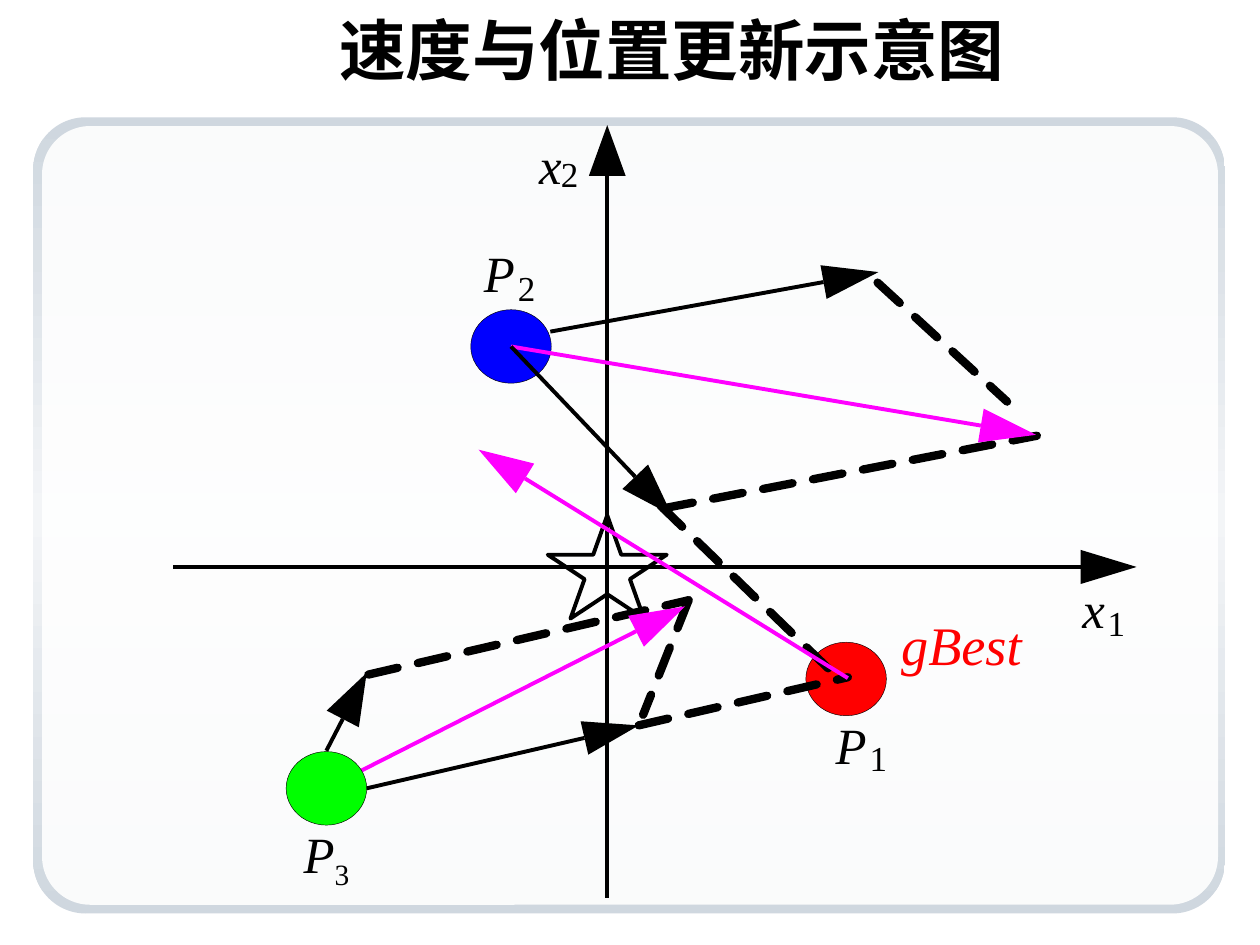
import math

import lxml.etree
import pptx
import pptx.dml.color
import pptx.enum.shapes
import pptx.enum.text
import pptx.oxml.ns
import pptx.util

Pt = pptx.util.Pt
SHAPES = pptx.enum.shapes.MSO_SHAPE
BLACK, MAGENTA, RED = "000000", "FF00FF", "FF0000"
LINE_WIDTH, DASH_WIDTH = 2.25, 4.75
PARTICLE_SIZE = (46, 42)


def colour(value):
    return pptx.dml.color.RGBColor.from_string(value)


def add_child(parent, tag, **attributes):
    child = lxml.etree.SubElement(parent, pptx.oxml.ns.qn(tag))
    for name, value in attributes.items():
        child.set(name, value)
    return child


def add_preset(slide, preset, left, top, width, height):
    shape = slide.shapes.add_shape(preset, Pt(left), Pt(top), Pt(width), Pt(height))
    shape.shadow.inherit = False
    return shape


def add_panel(slide):
    # Grey gradient frame
    frame = add_preset(slide, SHAPES.ROUNDED_RECTANGLE, 19, 67, 681, 455)
    frame.adjustments[0] = 0.066
    frame.line.fill.background()
    frame.fill.gradient()
    frame.fill.gradient_angle = 270
    stops = frame.fill._fill._gradFill.find(pptx.oxml.ns.qn("a:gsLst"))
    for stop in list(stops):
        stops.remove(stop)
    for position, value in (("0", "CFD7DF"), ("50000", "F3F5F7"), ("100000", "CFD7DF")):
        add_child(add_child(stops, "a:gs", pos=position), "a:srgbClr", val=value)

    # Translucent white inside
    inside = add_preset(slide, SHAPES.ROUNDED_RECTANGLE, 24, 72, 672, 445)
    inside.adjustments[0] = 0.062
    inside.line.fill.background()
    inside.fill.solid()
    inside.fill.fore_color.rgb = colour("FFFFFF")
    white = inside._element.spPr.find(".//" + pptx.oxml.ns.qn("a:srgbClr"))
    add_child(white, "a:alpha", val="90000")


def add_title(slide, text):
    title = slide.shapes.title
    title.left, title.top, title.width, title.height = Pt(24), Pt(6), Pt(720), Pt(44)
    frame = title.text_frame
    frame.text = text
    frame.vertical_anchor = pptx.enum.text.MSO_ANCHOR.MIDDLE
    frame.paragraphs[0].alignment = pptx.enum.text.PP_ALIGN.CENTER
    font = frame.paragraphs[0].runs[0].font
    font.size, font.name, font.bold = Pt(38), "Arial", True
    font.color.rgb = colour(BLACK)


def add_line(slide, start, end, value=BLACK, width=LINE_WIDTH):
    line = slide.shapes.add_connector(
        pptx.enum.shapes.MSO_CONNECTOR.STRAIGHT, *(Pt(c) for c in (*start, *end)))
    line.line.color.rgb = colour(value)
    line.line.width = Pt(width)
    add_child(line._element.spPr, "a:effectLst")
    return line


def add_dashed(slide, start, end):
    line = add_line(slide, start, end, width=DASH_WIDTH)
    outline = line.line._get_or_add_ln()
    outline.set("cap", "rnd")
    add_child(add_child(outline, "a:custDash"), "a:ds", d="460000", sp="150000")


def add_arrow(slide, start, tip, value=BLACK):
    """Draw a line with a large triangular head, slightly stretched sideways."""
    angle = math.atan2(tip[1] - start[1], tip[0] - start[0])
    cos, sin = math.cos(angle), math.sin(angle)
    length = math.hypot(32 * cos, 29 * sin)
    half_width = math.hypot(19.5 * cos, 21 * sin) / 2
    base = (tip[0] - length * cos, tip[1] - length * sin)
    add_line(slide, start, base, value)

    corners = [(base[0] - side * half_width * sin, base[1] + side * half_width * cos)
               for side in (1, -1)]
    builder = slide.shapes.build_freeform(Pt(tip[0]), Pt(tip[1]))
    builder.add_line_segments([(Pt(x), Pt(y)) for x, y in corners], close=True)
    head = builder.convert_to_shape()
    head.shadow.inherit = False
    head.fill.solid()
    head.fill.fore_color.rgb = colour(value)
    head.line.fill.background()


def add_particle(slide, centre, value):
    width, height = PARTICLE_SIZE
    particle = add_preset(slide, SHAPES.OVAL, centre[0] - width / 2,
                          centre[1] - height / 2, width, height)
    particle.fill.solid()
    particle.fill.fore_color.rgb = colour(value)
    particle.line.color.rgb = colour(BLACK)
    particle.line.width = Pt(0.25)


def add_label(slide, left, top, width, height, text, size=29, value=BLACK,
              italic=True, subscript=""):
    box = slide.shapes.add_textbox(Pt(left), Pt(top), Pt(width), Pt(height))
    frame = box.text_frame
    frame.word_wrap = False
    frame.auto_size = pptx.enum.text.MSO_AUTO_SIZE.SHAPE_TO_FIT_TEXT
    frame.margin_left = frame.margin_right = frame.margin_top = frame.margin_bottom = 0
    paragraph = frame.paragraphs[0]
    paragraph.text = text
    if subscript:
        lowered = paragraph.add_run()
        lowered.text = subscript
        lowered.font._element.set("baseline", "-25000")
    for run in paragraph.runs:
        run.font.size, run.font.name = Pt(size), "Times New Roman"
        run.font.italic = italic and run.text != subscript
        run.font.color.rgb = colour(value)


def add_indexed_label(slide, letter, index, letter_at, index_at):
    add_label(slide, *letter_at, 18 if letter == "P" else 13, 34.5, letter)
    add_label(slide, *index_at, 10, 24, index, size=20, italic=False)


def main():
    presentation = pptx.Presentation()
    presentation.slide_width, presentation.slide_height = Pt(720), Pt(540)
    slide = presentation.slides.add_slide(presentation.slide_layouts[5])
    add_panel(slide)
    add_title(slide, "速度与位置更新示意图")

    # Axes and the optimum at their origin
    add_arrow(slide, (99, 324), (649.5, 324))
    add_arrow(slide, (347, 513), (347, 71.5))
    optimum = add_preset(slide, SHAPES.STAR_5_POINT, 313, 294.5, 68, 59)
    optimum.fill.background()
    optimum.line.color.rgb = colour(BLACK)
    optimum.line.width = Pt(LINE_WIDTH)
    add_indexed_label(slide, "x", "1", (618.5, 330), (633, 343.5))
    add_indexed_label(slide, "x", "2", (308, 76.5), (320.5, 87))

    # Particles P1 and P2
    p1, p2, p3 = (483.5, 388), (292, 198), (186.5, 450.5)
    add_particle(slide, p1, RED)
    add_indexed_label(slide, "P", "1", (477.5, 408), (497, 421))
    add_particle(slide, p2, "0000FF")
    add_indexed_label(slide, "P", "2", (276.5, 138), (296, 152))

    # Update of P3
    p3_velocity, p3_pull, p3_corner = (209.5, 384.5), (365, 414.5), (393.5, 343)
    add_arrow(slide, (p3[0], 429), p3_velocity)
    add_dashed(slide, p3_corner, (367.5, 408.5))
    add_dashed(slide, (210.5, 385.5), p3_corner)
    add_arrow(slide, p3, (391.5, 346.5), MAGENTA)

    # Update of P2
    p2_pull = (384, 294.5)
    add_arrow(slide, (314.5, 189.5), (502, 155.5))
    add_dashed(slide, (501.5, 161.5), (575.5, 229.5))
    add_dashed(slide, (379, 290.5), (592.5, 249))
    add_arrow(slide, p2, (592, 248.5), MAGENTA)
    add_arrow(slide, p2, p2_pull)
    add_dashed(slide, (377.5, 289), (479, 387.5))

    # Pull of P3 towards the best particle, and move of P1
    add_arrow(slide, (209.5, 450.5), p3_pull)
    add_dashed(slide, p3_pull, (484.5, 387))
    add_arrow(slide, (484.5, 387.5), (273.5, 257), MAGENTA)

    # Particle P3 covers the start of its arrows
    add_particle(slide, p3, "00FF00")
    add_label(slide, 173.5, 470, 28, 39.5, "P", subscript="3")
    add_label(slide, 515, 349, 69, 37.5, "gBest", size=31, value=RED)

    presentation.save("out.pptx")


if __name__ == "__main__":
    main()
